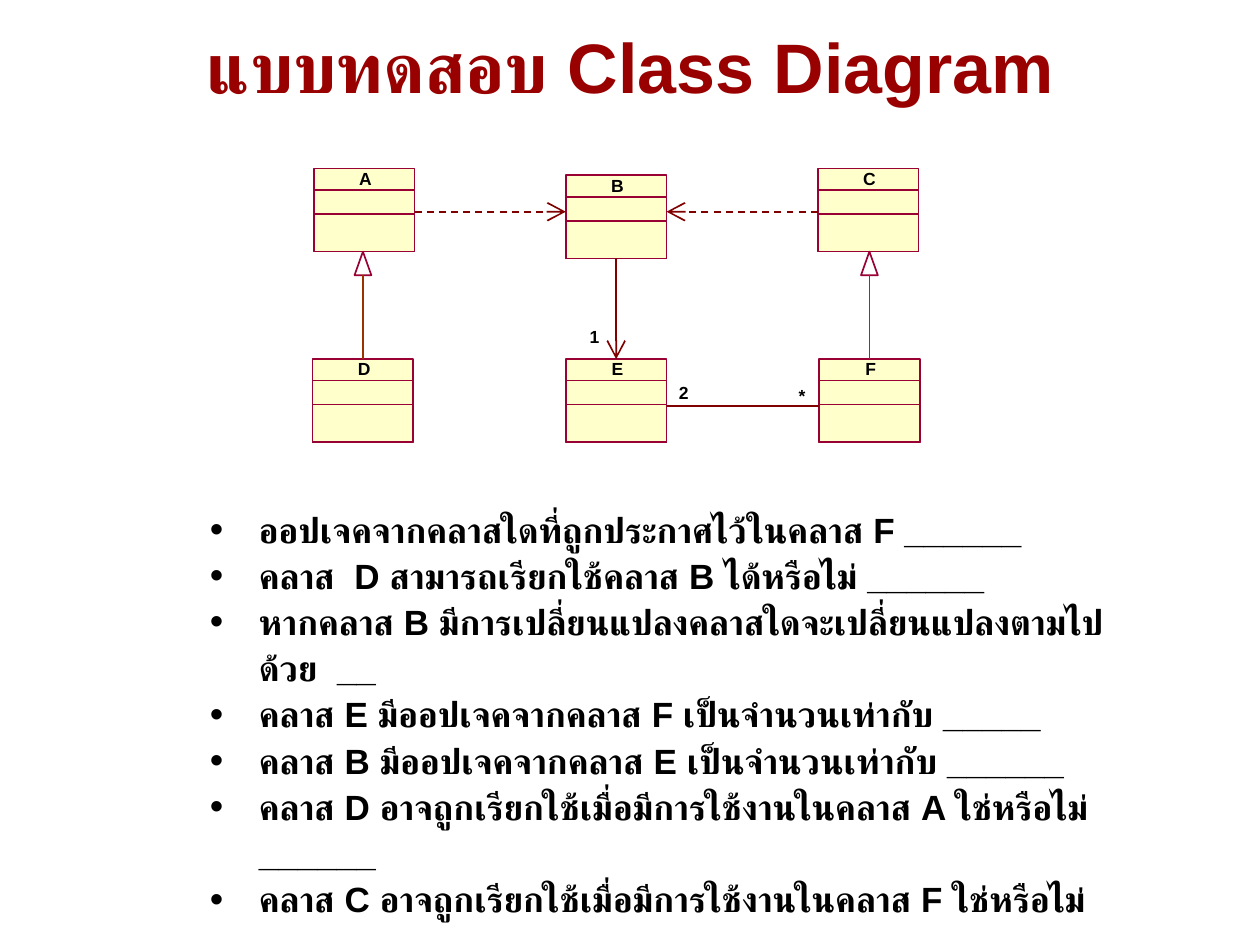
from lxml.etree import SubElement
from pptx import Presentation
from pptx.dml.color import RGBColor
from pptx.enum.dml import MSO_LINE
from pptx.enum.shapes import MSO_CONNECTOR, MSO_SHAPE
from pptx.enum.text import MSO_ANCHOR, PP_ALIGN
from pptx.oxml.ns import qn
from pptx.util import Pt

BLACK = RGBColor(0x00, 0x00, 0x00)
WHITE = RGBColor(0xFF, 0xFF, 0xFF)
TITLE_RED = RGBColor(0x99, 0x00, 0x00)
CREAM = RGBColor(0xFF, 0xFF, 0xCC)
CRIMSON = RGBColor(0x99, 0x00, 0x33)
MAROON = RGBColor(0x80, 0x00, 0x00)
BROWN = RGBColor(0x99, 0x33, 0x00)

BOX_WIDTH, BOX_HEIGHT = 57.6, 47.5
SECTION_OFFSETS = (0, 12.2, 25.9)

CLASSES = {
    "A": (179.3, 96.3),
    "B": (323.3, 100.2),
    "C": (467.3, 96.3),
    "D": (178.6, 205.2),
    "E": (323.3, 205.2),
    "F": (468, 205.2),
}

QUESTIONS = [
    "ออปเจคจากคลาสใดที่ถูกประกาศไว้ในคลาส F ______",
    "คลาส  D สามารถเรียกใช้คลาส B ได้หรือไม่ ______",
    "หากคลาส B มีการเปลี่ยนแปลงคลาสใดจะเปลี่ยนแปลงตามไปด้วย  __",
    "คลาส E มีออปเจคจากคลาส F เป็นจำนวนเท่ากับ _____",
    "คลาส B มีออปเจคจากคลาส E เป็นจำนวนเท่ากับ ______",
    "คลาส D อาจถูกเรียกใช้เมื่อมีการใช้งานในคลาส A ใช่หรือไม่ ______",
    "คลาส C อาจถูกเรียกใช้เมื่อมีการใช้งานในคลาส F ใช่หรือไม่ ______",
]


class ClassDiagramSlide:
    font_name = "Arial"

    def __init__(self, presentation):
        self.slide = presentation.slides.add_slide(presentation.slide_layouts[6])
        self.shapes = self.slide.shapes

    def add_text(self, lines, left, top, width, height, size=10, color=BLACK,
                 align=PP_ALIGN.LEFT, anchor=MSO_ANCHOR.TOP, spacing=None, inset=(0, 0)):
        shape = self.shapes.add_textbox(Pt(left), Pt(top), Pt(width), Pt(height))
        frame = shape.text_frame
        frame.word_wrap = True
        frame.vertical_anchor = anchor
        frame.margin_left = frame.margin_right = Pt(inset[0])
        frame.margin_top = frame.margin_bottom = Pt(inset[1])
        frame.text = "\n".join(lines)
        for paragraph in frame.paragraphs:
            paragraph.alignment = align
            paragraph.line_spacing = spacing
            paragraph.font.name = self.font_name
            paragraph.font.size = Pt(size)
            paragraph.font.bold = True
            paragraph.font.color.rgb = color
        return frame

    def add_bullets(self, lines, left, top, width, height):
        frame = self.add_text(lines, left, top, width, height, size=20, spacing=1.1)
        for paragraph in frame.paragraphs:
            properties = paragraph._p.get_or_add_pPr()
            properties.set("marL", str(Pt(28)))
            properties.set("indent", str(-Pt(28)))
            bullet_color = SubElement(properties, qn("a:buClr"))
            SubElement(bullet_color, qn("a:srgbClr"), val=str(BLACK))
            SubElement(properties, qn("a:buSzPct"), val="110000")
            SubElement(properties, qn("a:buFont"), typeface=self.font_name)
            SubElement(properties, qn("a:buChar"), char="•")
            default_font = properties.find(qn("a:defRPr"))
            if default_font is not None:
                properties.append(default_font)

    def paint(self, shape, fill, width=1):
        shape.shadow.inherit = False
        shape.fill.solid()
        shape.fill.fore_color.rgb = fill
        shape.line.color.rgb = CRIMSON
        shape.line.width = Pt(width)

    def add_class(self, name, left, top):
        for offset in SECTION_OFFSETS:
            section = self.shapes.add_shape(
                MSO_SHAPE.RECTANGLE, Pt(left), Pt(top + offset),
                Pt(BOX_WIDTH), Pt(BOX_HEIGHT - offset))
            self.paint(section, CREAM)
            if offset == 0:
                self.add_text([name], left + 18, top - 0.4, 23, 19.4, align=PP_ALIGN.CENTER)

    def add_line(self, start, end, color=MAROON, dashed=False, arrow=False):
        connector = self.shapes.add_connector(
            MSO_CONNECTOR.STRAIGHT, *(Pt(value) for value in start + end))
        connector.line.color.rgb = color
        connector.line.width = Pt(1)
        if dashed:
            connector.line.dash_style = MSO_LINE.DASH
        if arrow:
            SubElement(connector.line._get_or_add_ln(), qn("a:tailEnd"),
                       type="arrow", w="lg", len="lg")
        SubElement(connector._element.spPr, qn("a:effectLst"))

    def add_inheritance(self, x, top, bottom):
        builder = self.shapes.build_freeform(Pt(x), Pt(top))
        builder.add_line_segments(
            [(Pt(x + 4.8), Pt(top + 13.5)), (Pt(x - 4.8), Pt(top + 13.5))])
        self.paint(builder.convert_to_shape(), WHITE, 0.95)
        self.add_line((x, top + 13.5), (x, bottom), BROWN)

    def add_multiplicity(self, text, left, top, width, height):
        self.add_text([text], left, top, width, height, inset=(7.2, 3.6))


def main():
    presentation = Presentation()
    presentation.slide_width, presentation.slide_height = Pt(720), Pt(540)
    page = ClassDiagramSlide(presentation)

    page.add_text(["แบบทดสอบ Class Diagram"], 36, 6, 648, 72, size=40, color=TITLE_RED,
                  align=PP_ALIGN.CENTER, anchor=MSO_ANCHOR.MIDDLE, spacing=0.81)
    page.add_bullets(QUESTIONS, 120, 288, 534, 203)

    for name, (left, top) in CLASSES.items():
        page.add_class(name, left, top)

    b_left, b_top = CLASSES["B"]
    b_right, b_center = b_left + BOX_WIDTH, b_left + BOX_WIDTH / 2
    lower_top = CLASSES["E"][1]
    for x in (207.4, 496.8):
        page.add_inheritance(x, CLASSES["A"][1] + BOX_HEIGHT, lower_top)
    page.add_line((b_right, 232.2), (CLASSES["F"][0], 232.2))
    page.add_line((b_center, b_top + BOX_HEIGHT), (b_center, lower_top), arrow=True)
    for start, end in ((CLASSES["A"][0] + BOX_WIDTH, b_left), (CLASSES["C"][0], b_right)):
        page.add_line((start, 121), (end, 121), dashed=True, arrow=True)

    page.add_multiplicity("1", 329.8, 182.9, 18, 20.9)
    page.add_multiplicity("2", 380.9, 214.6, 21.6, 25.9)
    page.add_multiplicity("*", 449.3, 216.7, 25.9, 22.3)

    presentation.save("out.pptx")


if __name__ == "__main__":
    main()
